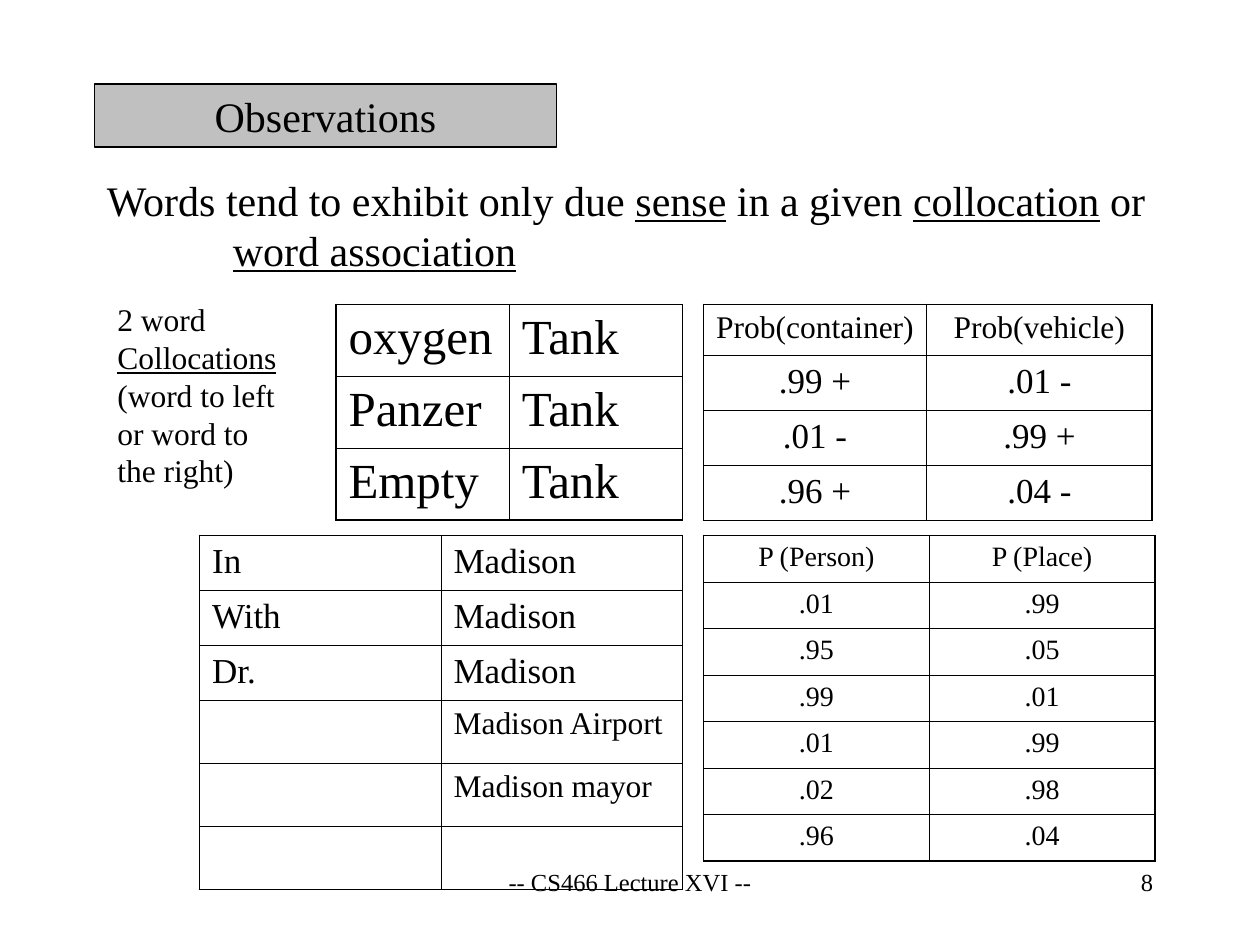
from dataclasses import dataclass

from pptx import Presentation, util as u
from pptx.dml.color import RGBColor
from pptx.enum import text as t
from pptx.oxml.ns import qn
from lxml import etree

WIDE, HIGH = u.Inches(10), u.Inches(7.5)
COLS, ROWS = 120, 90
FACE = "Times New Roman"
BLACK, GREY = "000000", "C0C0C0"
THICK, THIN = 1.08, 0.45
LEFT, MID, RIGHT = t.PP_ALIGN.LEFT, t.PP_ALIGN.CENTER, t.PP_ALIGN.RIGHT


@dataclass
class Box:
    col: float
    row: float
    wide: float
    high: float


@dataclass
class Note:
    box: Box
    lines: list[str]
    size: float
    align: t.PP_ALIGN = LEFT
    dents: tuple[int, ...] = ()


@dataclass
class Grid:
    col: float
    row: float
    wides: list[float]
    highs: list[float]
    sizes: list[float]
    cells: list[tuple[str, str]]
    align: t.PP_ALIGN = LEFT


def across(cols: float) -> int:
    return round(WIDE * cols / COLS)


def down(rows: float) -> int:
    return round(HIGH * rows / ROWS)


def color(code: str) -> RGBColor:
    return RGBColor.from_string(code)


def write(frame, lines: list[str], size: float = 18, align=LEFT,
          hue: str = BLACK, dents: tuple[int, ...] = ()) -> None:
    for i, line in enumerate(lines):
        para = frame.paragraphs[0] if i == 0 else frame.add_paragraph()
        para.alignment = align
        if i in dents:
            para._p.get_or_add_pPr().set("marL", str(u.Inches(1)))
        for j, part in enumerate(line.split("_")):
            if part:
                run = para.add_run()
                run.text = part
                run.font.name = FACE
                run.font.size = u.Pt(size)
                run.font.color.rgb = color(hue)
                run.font.underline = j % 2 == 1


def head(slide, box: Box, words: str) -> None:
    shape = slide.shapes.title
    shape.left, shape.top = across(box.col), down(box.row)
    shape.width, shape.height = across(box.wide), down(box.high)
    shape.fill.solid()
    shape.fill.fore_color.rgb = color(GREY)
    shape.line.color.rgb = color(BLACK)
    shape.line.width = u.Pt(0.75)
    frame = shape.text_frame
    frame.auto_size = t.MSO_AUTO_SIZE.NONE
    frame.vertical_anchor = t.MSO_ANCHOR.MIDDLE
    write(frame, [words], size=24, align=MID)


def place(slide, note: Note) -> None:
    box = note.box
    shape = slide.shapes.add_textbox(across(box.col), down(box.row),
                                     across(box.wide), down(box.high))
    shape.text_frame.word_wrap = True
    write(shape.text_frame, note.lines, size=note.size,
          align=note.align, dents=note.dents)


def edge(cell, side: str, width: float) -> None:
    line = etree.SubElement(cell._tc.get_or_add_tcPr(), qn("a:" + side),
                            w=str(u.Pt(width)))
    fill = etree.SubElement(line, qn("a:solidFill"))
    etree.SubElement(fill, qn("a:srgbClr"), val=BLACK)


def tabulate(slide, grid: Grid) -> None:
    rows, cols = len(grid.highs), len(grid.wides)
    table = slide.shapes.add_table(
        rows, cols, across(grid.col), down(grid.row),
        across(sum(grid.wides)), down(sum(grid.highs))).table
    table.first_row = table.horz_banding = False
    for col, wide in zip(table.columns, grid.wides):
        col.width = across(wide)
    for row, high in zip(table.rows, grid.highs):
        row.height = down(high)
    for r, pair in enumerate(grid.cells):
        for c, words in enumerate(pair):
            cell = table.cell(r, c)
            outer = {"lnL": c == 0, "lnR": c == cols - 1,
                     "lnT": r == 0, "lnB": r == rows - 1}
            for side, rim in outer.items():
                edge(cell, side, THICK if rim else THIN)
            cell.fill.background()
            write(cell.text_frame, [words], size=grid.sizes[r], align=grid.align)


NOTES = [
    Note(Box(9, 16, 104, 10.8),
         ["Words tend to exhibit only due _sense_ in a given _collocation_ or",
          "_word association_"], 24, dents=(1,)),
    Note(Box(10, 28, 19.2, 19.2),
         ["2 word", "_Collocations_", "(word to left or word to the right)"], 18),
    Note(Box(41, 82, 38, 6), ["-- CS466 Lecture XVI --"], 14, MID),
    Note(Box(86, 82, 25, 6), ["8"], 14, RIGHT),
]

GRIDS = [
    Grid(32, 29, [16.5] * 2, [6.85] * 3, [28] * 3,
         [("oxygen", "Tank"), ("Panzer", "Tank"), ("Empty", "Tank")]),
    Grid(67, 29, [21.25, 21.5], [4.87] + [5.24] * 3, [18] + [20] * 3,
         [("Prob(container)", "Prob(vehicle)"), (".99 +", ".01 -"),
          (".01 -", ".99 +"), (".96 +", ".04 -")], MID),
    Grid(19, 51, [23] * 2, [5.24] * 3 + [6] * 3, [20] * 3 + [18] * 3,
         [("In", "Madison"), ("With", "Madison"), ("Dr.", "Madison"),
          ("", "Madison Airport"), ("", "Madison mayor"), ("", "")]),
    Grid(67, 51, [21.5] * 2, [4.43] * 7, [16] * 7,
         [("P (Person)", "P (Place)"), (".01", ".99"), (".95", ".05"),
          (".99", ".01"), (".01", ".99"), (".02", ".98"), (".96", ".04")], MID),
]


def main() -> None:
    deck = Presentation()
    deck.slide_width, deck.slide_height = WIDE, HIGH
    slide = deck.slides.add_slide(deck.slide_layouts[5])
    head(slide, Box(9, 8, 44, 6), "Observations")
    for note in NOTES[:2]:
        place(slide, note)
    for grid in GRIDS:
        tabulate(slide, grid)
    for note in NOTES[2:]:
        place(slide, note)
    deck.save("out.pptx")


if __name__ == "__main__":
    main()
